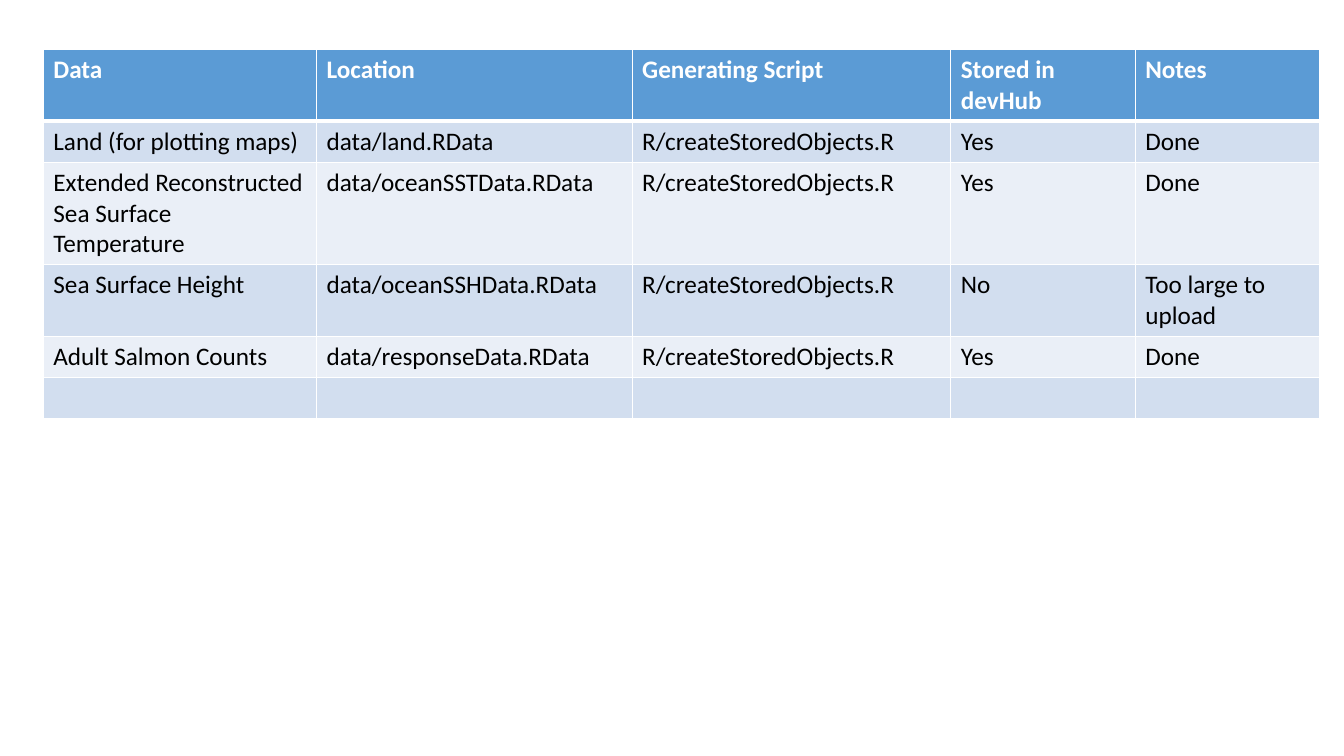
from dataclasses import dataclass

from lxml.etree import SubElement
from pptx import Presentation
from pptx.dml.color import RGBColor as Rgb
from pptx.oxml.ns import qn
from pptx.table import _Cell as Cell
from pptx.util import Inches, Pt


@dataclass(frozen=True)
class Theme:
    font: str = "Calibri"
    text_size: int = 18
    header_fill: str = "5B9BD5"
    band_fills: tuple[str, str] = ("D2DEEF", "EAEFF7")
    header_text: str = "FFFFFF"
    body_text: str = "000000"
    border: str = "FFFFFF"
    thin: int = 1
    thick: int = 3


@dataclass(frozen=True)
class Column:
    heading: str
    width: float


@dataclass(frozen=True)
class Dataset:
    data: str = ""
    location: str = ""
    script: str = ""
    stored: str = ""
    notes: str = ""

    def values(self) -> list[str]:
        return [self.data, self.location, self.script, self.stored, self.notes]


THEME = Theme()
LEFT, TOP, ROW_HEIGHT = 0.43, 0.49, 0.41
GENERATOR = "R/createStoredObjects.R"

COLUMNS = [
    Column("Data", 2.71),
    Column("Location", 3.13),
    Column("Generating Script", 3.16),
    Column("Stored in devHub", 1.83),
    Column("Notes", 1.83),
]

DATASETS = [
    Dataset("Land (for plotting maps)", "data/land.RData", GENERATOR, "Yes", "Done"),
    Dataset("Extended Reconstructed Sea Surface Temperature",
            "data/oceanSSTData.RData", GENERATOR, "Yes", "Done"),
    Dataset("Sea Surface Height", "data/oceanSSHData.RData", GENERATOR,
            "No", "Too large to upload"),
    Dataset("Adult Salmon Counts", "data/responseData.RData", GENERATOR, "Yes", "Done"),
    Dataset(),
]


def draw_borders(cell: Cell, top: int, bottom: int) -> None:
    """Border lines must precede the fill in the cell properties."""
    properties = cell._tc.get_or_add_tcPr()
    sides = {"L": THEME.thin, "R": THEME.thin, "T": top, "B": bottom}
    for side, points in sides.items():
        line = SubElement(properties, qn(f"a:ln{side}"), w=str(Pt(points)))
        paint = SubElement(line, qn("a:solidFill"))
        SubElement(paint, qn("a:srgbClr"), val=THEME.border)


def draw_cell(cell: Cell, text: str, row: int) -> None:
    is_header = row == 0
    draw_borders(
        cell,
        top=THEME.thick if row == 1 else THEME.thin,
        bottom=THEME.thick if is_header else THEME.thin,
    )
    fill = THEME.header_fill if is_header else THEME.band_fills[(row - 1) % 2]
    cell.fill.solid()
    cell.fill.fore_color.rgb = Rgb.from_string(fill)

    cell.text = text
    font = cell.text_frame.paragraphs[0].font
    font.name = THEME.font
    font.size = Pt(THEME.text_size)
    font.bold = is_header
    font.color.rgb = Rgb.from_string(
        THEME.header_text if is_header else THEME.body_text
    )


def main() -> None:
    deck = Presentation()
    deck.slide_width, deck.slide_height = Inches(13.33), Inches(7.5)
    slide = deck.slides.add_slide(deck.slide_layouts[6])

    # Inventory of stored data: a heading row, then one row per dataset
    rows = [[column.heading for column in COLUMNS]]
    rows += [dataset.values() for dataset in DATASETS]
    inventory = slide.shapes.add_table(
        len(rows), len(COLUMNS), Inches(LEFT), Inches(TOP),
        Inches(sum(column.width for column in COLUMNS)),
        Inches(ROW_HEIGHT * len(rows)),
    ).table

    # Column widths and row heights
    for grid_column, column in zip(inventory.columns, COLUMNS):
        grid_column.width = Inches(column.width)
    for grid_row in inventory.rows:
        grid_row.height = Inches(ROW_HEIGHT)

    # Cell contents
    for row, values in enumerate(rows):
        for col, text in enumerate(values):
            draw_cell(inventory.cell(row, col), text, row)

    deck.save("out.pptx")


if __name__ == "__main__":
    main()
